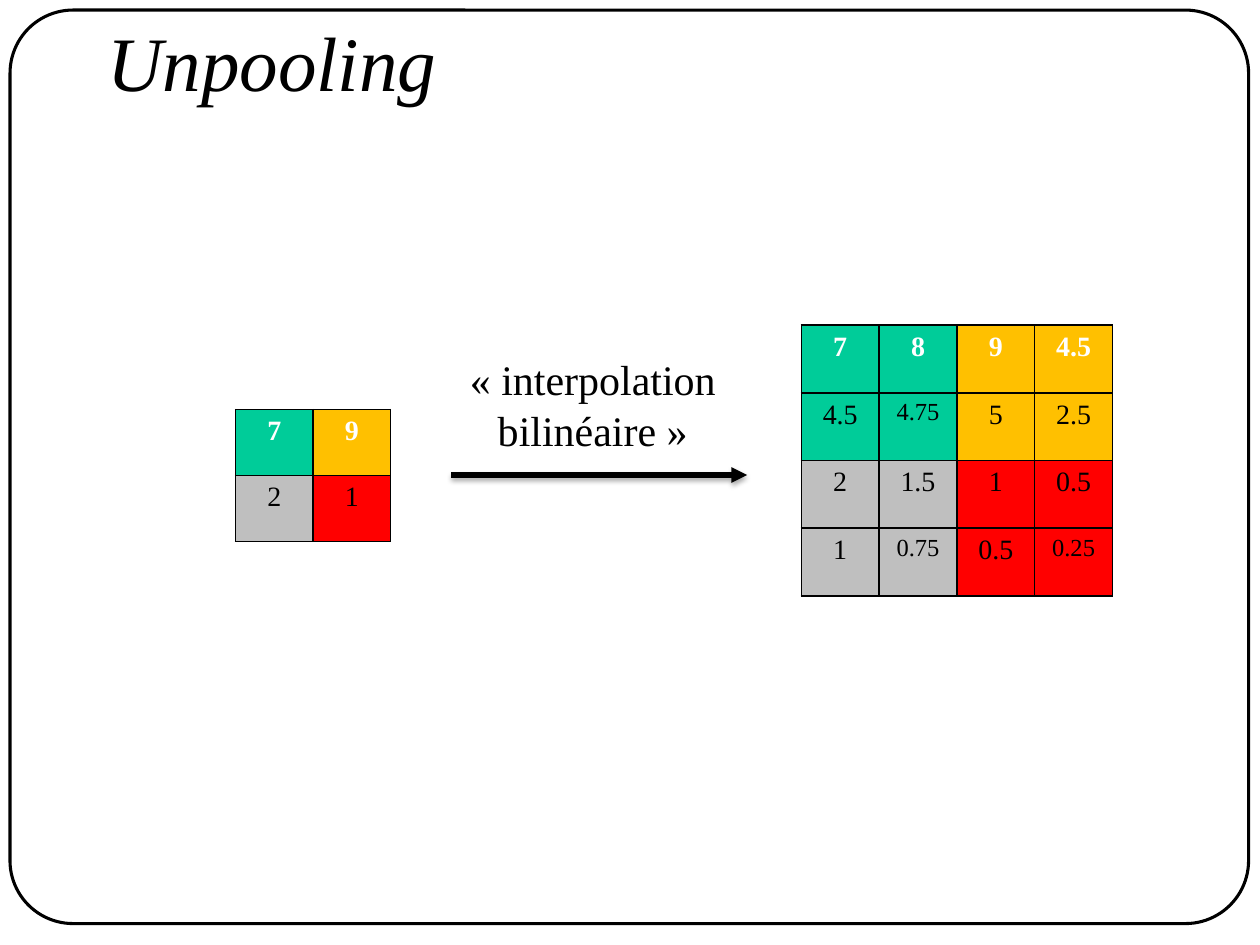
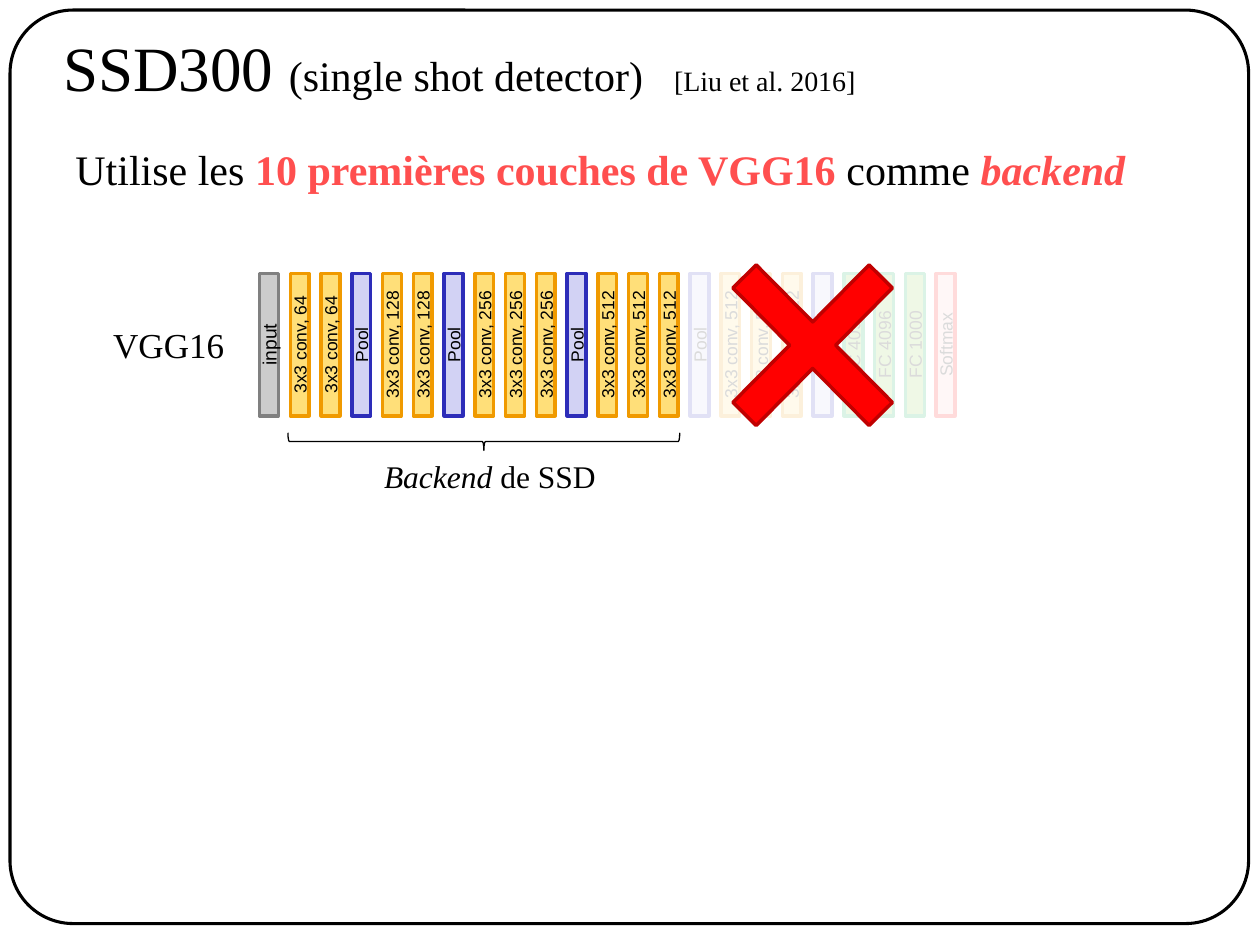
from lxml import etree
from pptx import Presentation
from pptx.dml.color import RGBColor
from pptx.enum.shapes import MSO_CONNECTOR, MSO_SHAPE as Shape
from pptx.enum.text import MSO_ANCHOR as Anchor, MSO_AUTO_SIZE as AutoSize, PP_ALIGN as Align
from pptx.oxml import parse_xml
from pptx.oxml.ns import nsdecls, qn
from pptx.util import Inches, Pt

COLORS = {
    "black": "000000", "white": "FFFFFF", "red": "FF0000", "dark_red": "C00000",
    "accent": "FF4F4F", "teal": "00CC99", "gold": "FFC000", "silver": "BFBFBF",
}
SERIF, SANS = "Times New Roman", "Arial"
LAYER_STYLES = {
    "input": ("CCCCCC", "808080"),
    "3x3": ("FFDF79", "F09A00"),
    "Pool": ("D2D2F4", "2D2DB9"),
    "FC": ("92D050", "00B050"),
    "Softmax": ("FFC9C9", "FF0000"),
}
CONV_BLOCKS = [(64, 2), (128, 2), (256, 3), (512, 3), (512, 3)]
QUADRANTS = [["teal", "gold"], ["silver", "red"]]


def rgb(color):
    return RGBColor.from_string(COLORS.get(color, color))


def inches(box):
    return [Inches(length) for length in box]


def add_run(paragraph, text, size, color="black", font=SERIF, bold=False, italic=False):
    run = paragraph.add_run()
    run.text = text
    run.font.name = font
    run.font.size = Pt(size)
    run.font.bold = bold
    run.font.italic = italic
    run.font.color.rgb = rgb(color)


def set_title(slide, box, anchor, runs, tab=None):
    title = slide.shapes.title
    title.left, title.top, title.width, title.height = inches(box)
    frame = title.text_frame
    frame.auto_size = AutoSize.NONE
    frame.word_wrap = True
    frame.vertical_anchor = anchor
    paragraph = frame.paragraphs[0]
    paragraph.alignment = Align.LEFT
    if tab:
        tab_list = etree.SubElement(paragraph._p.get_or_add_pPr(), qn("a:tabLst"))
        etree.SubElement(tab_list, qn("a:tab"), pos=str(Inches(tab)), algn="l")
    for text, options in runs:
        add_run(paragraph, text, **options)


def add_text(slide, box, lines, align=Align.LEFT):
    frame = slide.shapes.add_textbox(*inches(box)).text_frame
    frame.word_wrap = False
    frame.auto_size = AutoSize.SHAPE_TO_FIT_TEXT
    for index, runs in enumerate(lines):
        paragraph = frame.add_paragraph() if index else frame.paragraphs[0]
        paragraph.alignment = align
        for text, options in runs:
            add_run(paragraph, text, **options)


def add_outlined_shape(shapes, kind, box, line, width, fill=None):
    shape = shapes.add_shape(kind, *inches(box))
    shape.shadow.inherit = False
    if fill:
        shape.fill.solid()
        shape.fill.fore_color.rgb = rgb(fill)
    else:
        shape.fill.background()
    shape.line.color.rgb = rgb(line)
    shape.line.width = Pt(width)
    return shape


def add_master_frame(presentation, slide):
    frame = add_outlined_shape(slide.shapes, Shape.ROUNDED_RECTANGLE,
                               (0.08, 0.08, 9.83, 7.25), "black", 1.75)
    frame.adjustments[0] = 0.069
    presentation.slide_master.shapes.element.insert(2, frame.element)


def add_cell_borders(cell):
    properties = cell._tc.get_or_add_tcPr()
    for side in ("lnL", "lnR", "lnT", "lnB"):
        properties.append(parse_xml(
            f'<a:{side} {nsdecls("a")} w="{Pt(1)}"><a:solidFill>'
            f'<a:srgbClr val="{COLORS["black"]}"/></a:solidFill></a:{side}>'))


def add_feature_map(slide, box, values):
    size = len(values)
    table = slide.shapes.add_table(size, size, *inches(box)).table
    table.first_row = table.horz_banding = False
    for row, row_values in enumerate(values):
        for column, value in enumerate(row_values):
            cell = table.cell(row, column)
            add_cell_borders(cell)
            cell.fill.solid()
            cell.fill.fore_color.rgb = rgb(QUADRANTS[row * 2 // size][column * 2 // size])
            paragraph = cell.text_frame.paragraphs[0]
            paragraph.alignment = Align.CENTER
            add_run(paragraph, value, 14 if len(value) > 3 else 16,
                    "black" if row else "white", bold=row == 0)


def add_arrow(slide, start, end):
    arrow = slide.shapes.add_connector(MSO_CONNECTOR.STRAIGHT, *inches(start + end))
    arrow.line.color.rgb = rgb("black")
    arrow.line.width = Pt(3)
    etree.SubElement(arrow.line._get_or_add_ln(), qn("a:tailEnd"), type="triangle")
    arrow._element.spPr.append(parse_xml(
        f'<a:effectLst {nsdecls("a")}><a:outerShdw blurRad="{Pt(3.1)}" dist="{Pt(1.8)}" '
        f'dir="5400000" rotWithShape="0"><a:srgbClr val="{COLORS["black"]}">'
        '<a:alpha val="35000"/></a:srgbClr></a:outerShdw></a:effectLst>'))


def add_layers(slide, names):
    group = slide.shapes.add_group_shape()
    for index, name in enumerate(names):
        fill, line = LAYER_STYLES[name.split()[0]]
        box = (1.57 + index * 5.37 / (len(names) - 1), 2.66, 1.13, 0.15)
        layer = add_outlined_shape(group.shapes, Shape.RECTANGLE, box, line, 2, fill)
        layer.rotation = 270
        layer.text_frame.vertical_anchor = Anchor.MIDDLE
        paragraph = layer.text_frame.paragraphs[0]
        paragraph.alignment = Align.CENTER
        add_run(paragraph, name, 11 if name == "input" else 10, font=SANS)


def add_veil(slide, box):
    veil = add_outlined_shape(slide.shapes, Shape.RECTANGLE, box, "white", 2, "white")
    for color, opacity in zip(veil._element.spPr.iter(qn("a:srgbClr")), (86, 70)):
        etree.SubElement(color, qn("a:alpha"), val=str(opacity * 1000))


def vgg_layers():
    names = ["input"]
    for depth, count in CONV_BLOCKS:
        names += [f"3x3 conv, {depth}"] * count + ["Pool"]
    return names + ["FC 4096", "FC 4096", "FC 1000", "Softmax"]


def build_unpooling(slide):
    set_title(slide, (0.75, -0.14, 8.5, 1.25), Anchor.MIDDLE,
              [("Unpooling", {"size": 44, "italic": True})])
    add_feature_map(slide, (1.87, 3.25, 1.23, 1.05), [["7", "9"], ["2", "1"]])
    add_feature_map(slide, (6.36, 2.58, 2.47, 2.15), [
        ["7", "8", "9", "4.5"],
        ["4.5", "4.75", "5", "2.5"],
        ["2", "1.5", "1", "0.5"],
        ["1", "0.75", "0.5", "0.25"],
    ])
    add_arrow(slide, (3.58, 3.77), (5.93, 3.77))
    add_text(slide, (3.62, 2.76, 2.17, 0.91),
             [[("« interpolation", {"size": 24})], [("bilinéaire »", {"size": 24})]],
             Align.CENTER)


def build_detector(slide):
    accent = {"size": 24, "color": "accent", "bold": True}
    set_title(slide, (0.4, 0.18, 9, 0.71), Anchor.TOP, [
        ("SSD300 ", {"size": 36}),
        ("(single shot detector)", {"size": 24}),
        ("\t", {"size": 36}),
        ("[Liu et al. 2016]", {"size": 16}),
    ], tab=4.85)
    add_layers(slide, vgg_layers())
    add_text(slide, (0.8, 2.52, 1.09, 0.44), [[("VGG16", {"size": 20})]])
    add_text(slide, (0.5, 1.09, 8.61, 0.5), [[
        ("Utilise les ", {"size": 24}),
        ("10 premières couches de VGG16 ", accent),
        ("comme ", {"size": 24}),
        ("backend", {**accent, "italic": True}),
    ]])
    add_veil(slide, (5.44, 2.14, 2.51, 1.21))
    brace = add_outlined_shape(slide.shapes, Shape.RIGHT_BRACE,
                               (3.77, 1.95, 0.14, 3.11), "black", 0.75)
    brace.rotation = 90
    add_text(slide, (2.95, 3.58, 1.9, 0.4),
             [[("Backend", {"size": 18, "italic": True}), (" de SSD", {"size": 18})]])
    cross = add_outlined_shape(slide.shapes, Shape.MATH_MULTIPLY,
                               (5.41, 1.69, 2.08, 2.1), "dark_red", 2, "red")
    cross.adjustments[0] = 0.125


def main():
    """Build the unpooling and SSD300 slides."""
    presentation = Presentation()
    presentation.slide_width, presentation.slide_height = inches((10, 7.5))
    title_only = presentation.slide_layouts[5]
    unpooling = presentation.slides.add_slide(title_only)
    detector = presentation.slides.add_slide(title_only)
    add_master_frame(presentation, unpooling)
    build_unpooling(unpooling)
    build_detector(detector)
    presentation.save("out.pptx")


if __name__ == "__main__":
    main()
